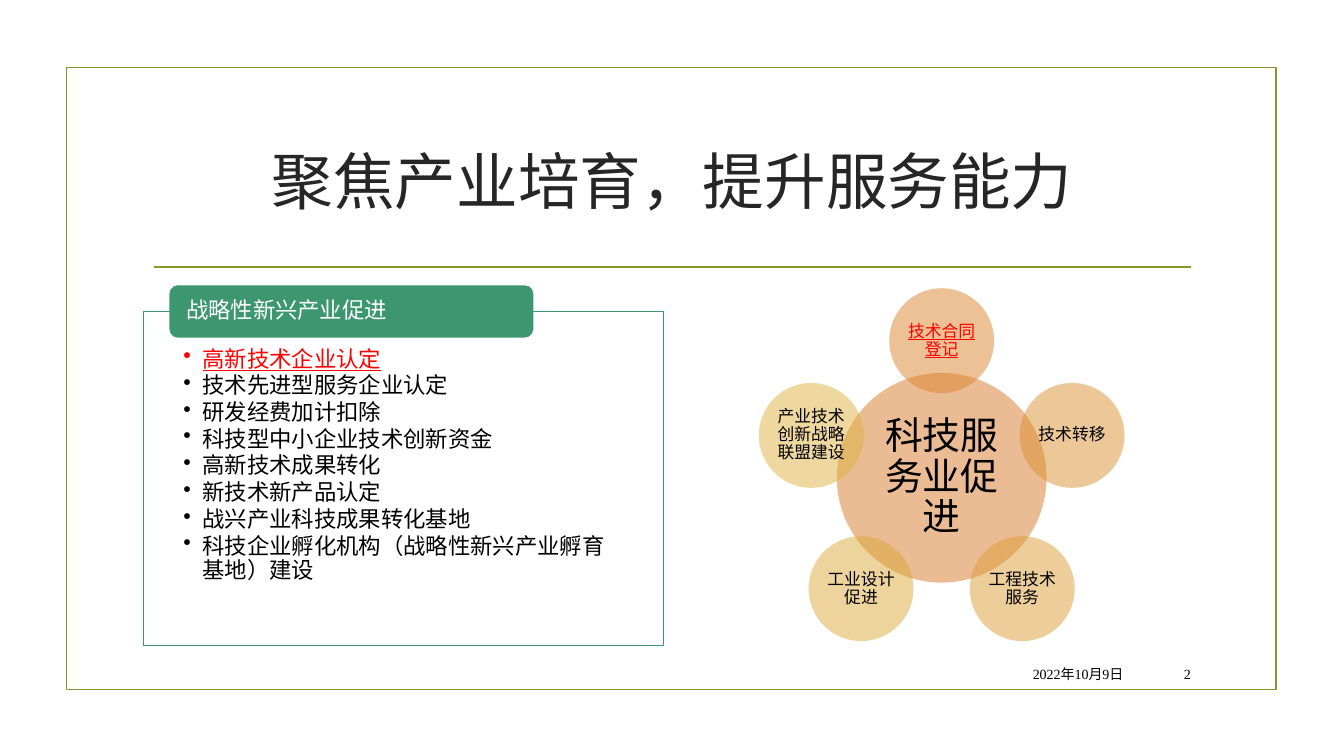
"""Builds a slide on industry cultivation: a programme list beside a hub of services."""
import math

from lxml import etree
from pptx import Presentation, util as u
from pptx.dml.color import RGBColor
from pptx.enum import shapes, text
from pptx.oxml.ns import qn

TITLE = "聚焦产业培育，提升服务能力"
PROGRAMME_HEADING = "战略性新兴产业促进"
PROGRAMMES = [
    "高新技术企业认定",
    "技术先进型服务企业认定",
    "研发经费加计扣除",
    "科技型中小企业技术创新资金",
    "高新技术成果转化",
    "新技术新产品认定",
    "战兴产业科技成果转化基地",
    "科技企业孵化机构（战略性新兴产业孵育基地）建设",
]
HUB = "科技服务业促进"
SERVICES = [
    ("技术合同登记", "DA852D"),
    ("技术转移", "DB9132"),
    ("工程技术服务", "DC9D36"),
    ("工业设计促进", "DDA83B"),
    ("产业技术创新战略联盟建设", "DEB340"),
]
HIGHLIGHTS = {PROGRAMMES[0], SERVICES[0][0]}
FOOTERS = [("2022年10月9日", 9.49, 1.75), ("2", 11.32, 0.59)]

THEME = {
    "font": "Times New Roman",
    "olive": "83992A", "green": "3C9770", "hub": "D97828",
    "ink": "000000", "title_ink": "262626", "white": "FFFFFF", "alert": "FF0000",
    "title": 44, "body": 16, "hub_size": 27, "service": 12, "footer": 10,
}
HUB_CENTRE, HUB_SIZE = (9.34, 4.74), 2.08
SERVICE_SIZE, ORBIT = 1.04, 1.36
ALIGN = text.PP_ALIGN
SHAPE = shapes.MSO_SHAPE

deck = Presentation()
deck.slide_width, deck.slide_height = u.Inches(13.33), u.Inches(7.5)
slide = deck.slides.add_slide(deck.slide_layouts[6])


def rgb(name):
    return RGBColor.from_string(THEME.get(name, name))


def apply(target, values):
    for name, value in values.items():
        setattr(target, name, value)


def add_panel(kind, box, fill=None, opacity=100, line=None, width=1.25):
    panel = slide.shapes.add_shape(kind, *map(u.Inches, box))
    panel.shadow.inherit = False
    if fill:
        panel.fill.solid()
        panel.fill.fore_color.rgb = rgb(fill)
        if opacity < 100:
            colour = panel.fill._xPr.find(".//" + qn("a:srgbClr"))
            etree.SubElement(colour, qn("a:alpha"), val=str(opacity * 1000))
    else:
        panel.fill.background()
    if line:
        panel.line.color.rgb = rgb(line)
        panel.line.width = u.Pt(width)
    else:
        panel.line.fill.background()
    return panel


def write(holder, lines, size, colour="ink", align=ALIGN.CENTER, spacing=0.9,
          margins=(0.1, 0.05), anchor=text.MSO_ANCHOR.MIDDLE, after=0, bullet=None):
    frame = holder.text_frame
    side, top = (u.Inches(margin) for margin in margins)
    apply(frame, {"word_wrap": True, "vertical_anchor": anchor,
                  "margin_left": side, "margin_right": side,
                  "margin_top": top, "margin_bottom": min(top, u.Inches(0.12))})
    for index, line in enumerate(lines):
        paragraph = frame.paragraphs[0] if index == 0 else frame.add_paragraph()
        if bullet:
            properties = paragraph._p.get_or_add_pPr()
            indent = u.Inches(0.19)
            properties.set("marL", str(indent))
            properties.set("indent", str(-indent))
            etree.SubElement(properties, qn("a:buChar"), char=bullet)
        apply(paragraph, {"alignment": align, "line_spacing": spacing,
                          "space_after": u.Pt(after)})
        run = paragraph.add_run()
        run.text = line
        marked = line in HIGHLIGHTS
        apply(run.font, {"name": THEME["font"], "size": u.Pt(THEME[size]), "underline": marked})
        run.font.color.rgb = rgb("alert" if marked else colour)


def add_text(box, line, size, **style):
    write(slide.shapes.add_textbox(*map(u.Inches, box)), [line], size, spacing=1.0, **style)


def add_circle(centre, diameter, colour, label, size, margin):
    left, top = (middle - diameter / 2 for middle in centre)
    circle = add_panel(SHAPE.OVAL, (left, top, diameter, diameter), colour, 50)
    write(circle, [label], size, margins=(margin, margin))


add_panel(SHAPE.RECTANGLE, (0.66, 0.67, 12, 6.17), line="olive")
divider = slide.shapes.add_connector(
    shapes.MSO_CONNECTOR.STRAIGHT, *map(u.Inches, (1.53, 2.65, 11.81, 2.65)))
divider.line.color.rgb = rgb("olive")
divider.line.width = u.Pt(1.25)
etree.SubElement(divider._element.spPr, qn("a:effectLst"))
add_text((1.42, 1.07, 10.5, 1.43), TITLE, "title", colour="title_ink")

programme_box = add_panel(SHAPE.RECTANGLE, (1.42, 3.09, 5.16, 3.31), "white", 90, "green", 0.75)
write(programme_box, PROGRAMMES, "body", align=ALIGN.LEFT, margins=(0.4, 0.36),
      anchor=text.MSO_ANCHOR.TOP, after=1.8, bullet="•")
heading_tab = add_panel(SHAPE.ROUNDED_RECTANGLE, (1.68, 2.83, 3.61, 0.52), "green")
write(heading_tab, [PROGRAMME_HEADING], "body", "white", ALIGN.LEFT, margins=(0.14, 0))

add_circle(HUB_CENTRE, HUB_SIZE, "hub", HUB, "hub_size", 0.04)
for position, (service, tint) in enumerate(SERVICES):
    angle = math.tau * position / len(SERVICES)
    service_centre = (HUB_CENTRE[0] + ORBIT * math.sin(angle),
                      HUB_CENTRE[1] - ORBIT * math.cos(angle))
    add_circle(service_centre, SERVICE_SIZE, tint, service, "service", 0.02)

for footer, left, width in FOOTERS:
    add_text((left, 6.53, width, 0.31), footer, "footer", align=ALIGN.RIGHT)

deck.save("out.pptx")
